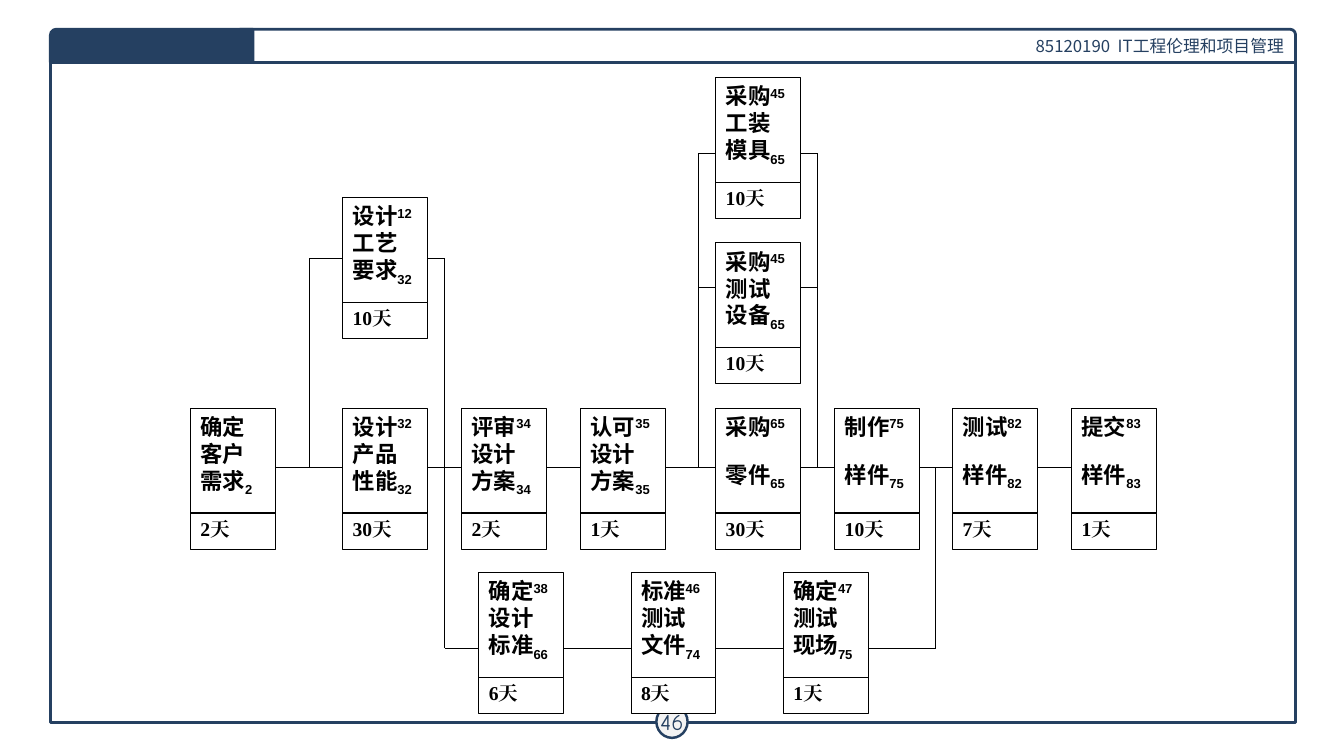
from dataclasses import dataclass
from itertools import pairwise

from lxml import etree
from pptx import Presentation
from pptx import util as u
from pptx.dml.color import RGBColor
from pptx.enum import shapes, text
from pptx.oxml import ns

PX = 9144  # EMU in one px, 100 px to the inch


@dataclass(frozen=True)
class Theme:
    navy: str = "254061"
    black: str = "000000"
    white: str = "FFFFFF"
    badge: str = "F3F3F3"
    header_font: str = "Noto Sans CJK SC"
    badge_font: str = "Comic Neue"
    task_font: str = "Arial"
    days_font: str = "Times New Roman"
    header_pt: int = 12
    days_pt: int = 14
    task_pt: int = 16
    badge_pt: int = 16
    frame_line: float = 2
    badge_line: float = 1.75
    thin_line: float = 0.75
    two_line_gap: int = 15


@dataclass(frozen=True)
class Task:
    x: int
    y: int
    lines: str
    early: str
    late: str
    days: str


@dataclass(frozen=True)
class Wire:
    x1: int
    y1: int
    x2: int
    y2: int


T = Theme()
BOX_W, NAME_H, DAYS_H = 84, 104, 36
MAIN_Y, MAIN_WIRE = 405, 464
TEST_Y, TEST_WIRE = 568, 643

MAIN = [
    Task(189, MAIN_Y, "确定 客户 需求", "", "2", "2天"),
    Task(340, MAIN_Y, "设计 产品 性能", "32", "32", "30天"),
    Task(458, MAIN_Y, "评审 设计 方案", "34", "34", "2天"),
    Task(576, MAIN_Y, "认可 设计 方案", "35", "35", "1天"),
    Task(710, MAIN_Y, "采购 零件", "65", "65", "30天"),
    Task(828, MAIN_Y, "制作 样件", "75", "75", "10天"),
    Task(945, MAIN_Y, "测试 样件", "82", "82", "7天"),
    Task(1063, MAIN_Y, "提交 样件", "83", "83", "1天"),
]
TESTING = [
    Task(475, TEST_Y, "确定 设计 标准", "38", "66", "6天"),
    Task(626, TEST_Y, "标准 测试 文件", "46", "74", "8天"),
    Task(777, TEST_Y, "确定 测试 现场", "47", "75", "1天"),
]
BRANCHES = [
    Task(340, 196, "设计 工艺 要求", "12", "32", "10天"),
    Task(710, 77, "采购 工装 模具", "45", "65", "10天"),
    Task(710, 241, "采购 测试 设备", "45", "65", "10天"),
]
BRANCH_WIRES = [
    # Process requirements, and down to the test standards
    Wire(307, MAIN_WIRE, 307, 256), Wire(307, 256, 340, 256),
    Wire(424, 256, 441, 256), Wire(441, 256, 441, TEST_WIRE),
    Wire(441, TEST_WIRE, 475, TEST_WIRE),
    # Test site back up to the main row
    Wire(861, TEST_WIRE, 928, TEST_WIRE), Wire(928, MAIN_WIRE, 928, TEST_WIRE),
    # Purchasing
    Wire(693, MAIN_WIRE, 693, 152), Wire(811, 152, 811, MAIN_WIRE),
    Wire(693, 152, 710, 152), Wire(794, 152, 811, 152),
    Wire(693, 285, 710, 285), Wire(794, 285, 811, 285),
]


def px(n: int) -> u.Emu:
    return u.Emu(n * PX)


def add_box(s, kind, x: int, y: int, w: int, h: int, fill: str | None, line: str, line_pt: float):
    sp = s.shapes.add_shape(kind, px(x), px(y), px(w), px(h))
    sp.shadow.inherit = False
    if fill:
        sp.fill.solid()
        sp.fill.fore_color.rgb = RGBColor.from_string(fill)
    else:
        sp.fill.background()
    sp.line.color.rgb = RGBColor.from_string(line)
    sp.line.width = u.Pt(line_pt)
    return sp


def add_run(p, words: str, font: str, size: int, color: str, bold: bool = False, baseline: int = 0) -> None:
    r = p.add_run()
    r.text = words
    r.font.name, r.font.size, r.font.bold = font, u.Pt(size), bold
    r.font.color.rgb = RGBColor.from_string(color)
    rPr = r._r.get_or_add_rPr()
    etree.SubElement(rPr, ns.qn("a:ea")).set("typeface", font)
    if baseline:
        rPr.set("baseline", str(baseline * 1000))


def add_wire(s, wire: Wire) -> None:
    c = s.shapes.add_connector(shapes.MSO_CONNECTOR.STRAIGHT, px(wire.x1), px(wire.y1), px(wire.x2), px(wire.y2))
    c.line.color.rgb = RGBColor.from_string(T.black)
    c.line.width = u.Pt(T.thin_line)
    etree.SubElement(c._element.spPr, ns.qn("a:effectLst"))


def add_task(s, task: Task) -> None:
    rect = shapes.MSO_SHAPE.RECTANGLE
    name = add_box(s, rect, task.x, task.y, BOX_W, NAME_H, T.white, T.black, T.thin_line)
    days = add_box(s, rect, task.x, task.y + NAME_H, BOX_W, DAYS_H, T.white, T.black, T.thin_line)
    for sp in (name, days):
        sp.text_frame.word_wrap = True
        sp.text_frame.vertical_anchor = text.MSO_ANCHOR.TOP

    # Name with early finish raised and late finish lowered
    tf = name.text_frame
    lines = task.lines.split()
    for i, words in enumerate(lines):
        p = tf.add_paragraph() if i else tf.paragraphs[0]
        p.alignment = text.PP_ALIGN.JUSTIFY
        if i and len(lines) == 2:
            p.space_before = u.Pt(T.two_line_gap)
        add_run(p, words, T.task_font, T.task_pt, T.black, True)
        if i == 0 and task.early:
            add_run(p, task.early, T.task_font, T.task_pt, T.black, True, 30)
        if i == len(lines) - 1:
            add_run(p, task.late, T.task_font, T.task_pt, T.black, True, -25)

    # Duration
    p = days.text_frame.paragraphs[0]
    p.alignment = text.PP_ALIGN.LEFT
    p.line_spacing = 0.96
    add_run(p, task.days, T.days_font, T.days_pt, T.black, True)


def add_frame(s) -> None:
    kinds = shapes.MSO_SHAPE
    add_box(s, kinds.RECTANGLE, 50, 50, 1235, 667, None, T.navy, T.frame_line)
    header = add_box(s, kinds.ROUND_1_RECTANGLE, 238, 29, 1047, 33, T.white, T.navy, T.frame_line)
    header.text_frame.vertical_anchor = text.MSO_ANCHOR.MIDDLE
    p = header.text_frame.paragraphs[0]
    p.alignment = text.PP_ALIGN.RIGHT
    add_run(p, "85120190  IT工程伦理和项目管理", T.header_font, T.header_pt, T.navy)

    # Page number badge
    badge = add_box(s, kinds.OVAL, 651, 700, 31, 32, T.badge, T.navy, T.badge_line)
    tf = badge.text_frame
    tf.margin_left = tf.margin_right = tf.margin_top = tf.margin_bottom = px(4)
    tf.word_wrap = False
    tf.vertical_anchor = text.MSO_ANCHOR.MIDDLE
    p = tf.paragraphs[0]
    p.alignment = text.PP_ALIGN.CENTER
    add_run(p, "46", T.badge_font, T.badge_pt, T.navy)

    tab = add_box(s, kinds.ROUND_1_RECTANGLE, 50, 29, 201, 33, T.navy, T.navy, T.frame_line)
    tab.adjustments[0] = 0.175
    tab._element.spPr.xfrm.set("flipH", "1")


def main() -> None:
    prs = Presentation()
    prs.slide_width, prs.slide_height = px(1333), px(750)
    s = prs.slides.add_slide(prs.slide_layouts[6])
    add_frame(s)

    # Wires between neighbours in a row, then the branches
    for row, y in ((MAIN, MAIN_WIRE), (TESTING, TEST_WIRE)):
        for a, b in pairwise(row):
            add_wire(s, Wire(a.x + BOX_W, y, b.x, y))
    for wire in BRANCH_WIRES:
        add_wire(s, wire)

    for task in MAIN + TESTING + BRANCHES:
        add_task(s, task)
    prs.save("out.pptx")


if __name__ == "__main__":
    main()
